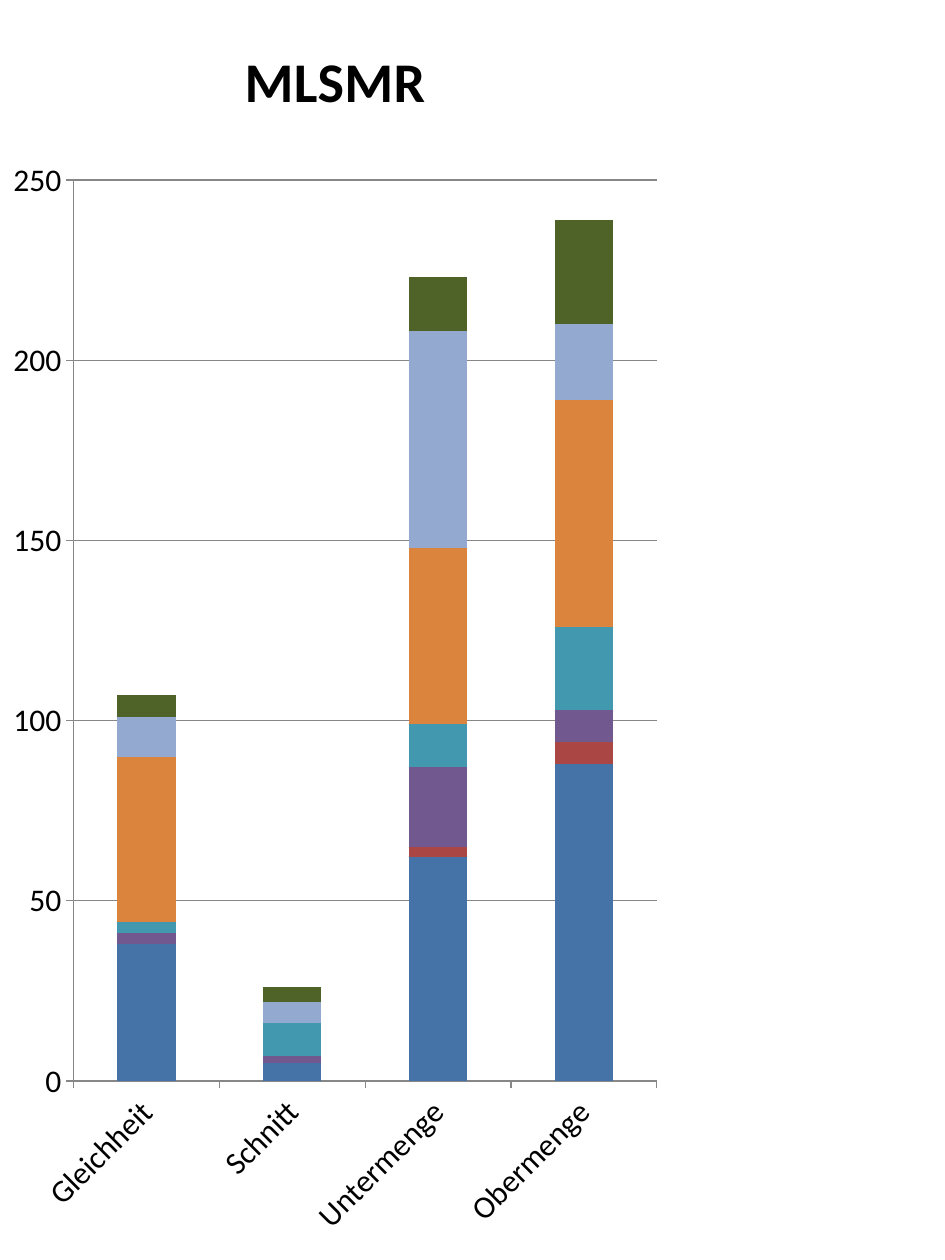
from lxml import etree
from pptx import Presentation
from pptx import util as u
from pptx.chart.data import CategoryChartData
from pptx.dml.color import RGBColor
from pptx.enum import chart as ch
from pptx.oxml.ns import qn

COLORS = {
    "text": "000000", "line": "878787",
    "blue": "4572A7", "red": "AA4643", "purple": "71588F", "teal": "4198AF",
    "orange": "DB843D", "sky": "93A9CF", "green": "4F6228",
}
GROUPS = ["Gleichheit", "Schnitt", "Untermenge", "Obermenge"]
STACK = [
    ("blue", (38, 5, 62, 88)),
    ("red", (0, 0, 3, 6)),
    ("purple", (3, 2, 22, 9)),
    ("teal", (3, 9, 12, 23)),
    ("orange", (46, 0, 49, 63)),
    ("sky", (11, 6, 60, 21)),
    ("green", (6, 4, 15, 29)),
]


class Deck:
    def __init__(self, wide, high):
        self.prs = Presentation()
        self.prs.slide_width = u.Inches(wide)
        self.prs.slide_height = u.Inches(high)
        self.slide = self.prs.slides.add_slide(self.prs.slide_layouts[6])

    def color(self, name):
        return RGBColor.from_string(COLORS[name])

    def font(self, font, size, bold=False):
        font.name = "Calibri"
        font.size = u.Pt(size)
        font.bold = bold
        font.color.rgb = self.color("text")

    def line(self, form):
        form.line.color.rgb = self.color("line")
        form.line.width = u.Pt(0.75)

    def stack(self, title, box):
        data = CategoryChartData()
        data.categories = GROUPS
        for num, (_, vals) in enumerate(STACK, 1):
            data.add_series(f"Series {num}", vals)
        kind = ch.XL_CHART_TYPE.COLUMN_STACKED
        chart = self.slide.shapes.add_chart(kind, *map(u.Inches, box), data).chart
        chart.has_legend = False
        self.font(chart.font, 18)
        chart.has_title = True
        para = chart.chart_title.text_frame.paragraphs[0]
        para.text = title
        self.font(para.runs[0].font, 32, True)

        plot = chart.plots[0]
        plot.gap_width, plot.overlap = 150, 100
        plot.vary_by_categories = False
        for series, (name, _) in zip(plot.series, STACK):
            series.format.fill.solid()
            series.format.fill.fore_color.rgb = self.color(name)
        self.axes(chart)
        self.layout(chart, x=0.11, y=0.143, w=0.87, h=0.715)

    def axes(self, chart):
        for axis in (chart.category_axis, chart.value_axis):
            axis.major_tick_mark = ch.XL_TICK_MARK.OUTSIDE
            axis.minor_tick_mark = ch.XL_TICK_MARK.NONE
            self.line(axis.format)
            self.font(axis.tick_labels.font, 18)
        body = chart.category_axis.tick_labels.font._element.getparent().getparent()
        body.getparent().find(qn("a:bodyPr")).set("rot", "-2700000")
        value = chart.value_axis
        value.minimum_scale, value.maximum_scale, value.major_unit = 0, 250, 50
        value.has_major_gridlines = True
        self.line(value.major_gridlines.format)

    def layout(self, chart, **parts):
        """Fix the inner plot area as fractions of the chart."""
        area = chart._chartSpace.chart.plotArea
        for old in area.findall(qn("c:layout")):
            area.remove(old)
        frame = etree.Element(qn("c:layout"))
        area.insert(0, frame)
        manual = etree.SubElement(frame, qn("c:manualLayout"))
        rules = {"layoutTarget": "inner", "xMode": "edge", "yMode": "edge", **parts}
        for tag, val in rules.items():
            etree.SubElement(manual, qn(f"c:{tag}")).set("val", str(val))


def main():
    deck = Deck(7.5, 10)
    deck.stack("MLSMR", (0, 0, 5.32, 10))
    deck.prs.save("out.pptx")


if __name__ == "__main__":
    main()
